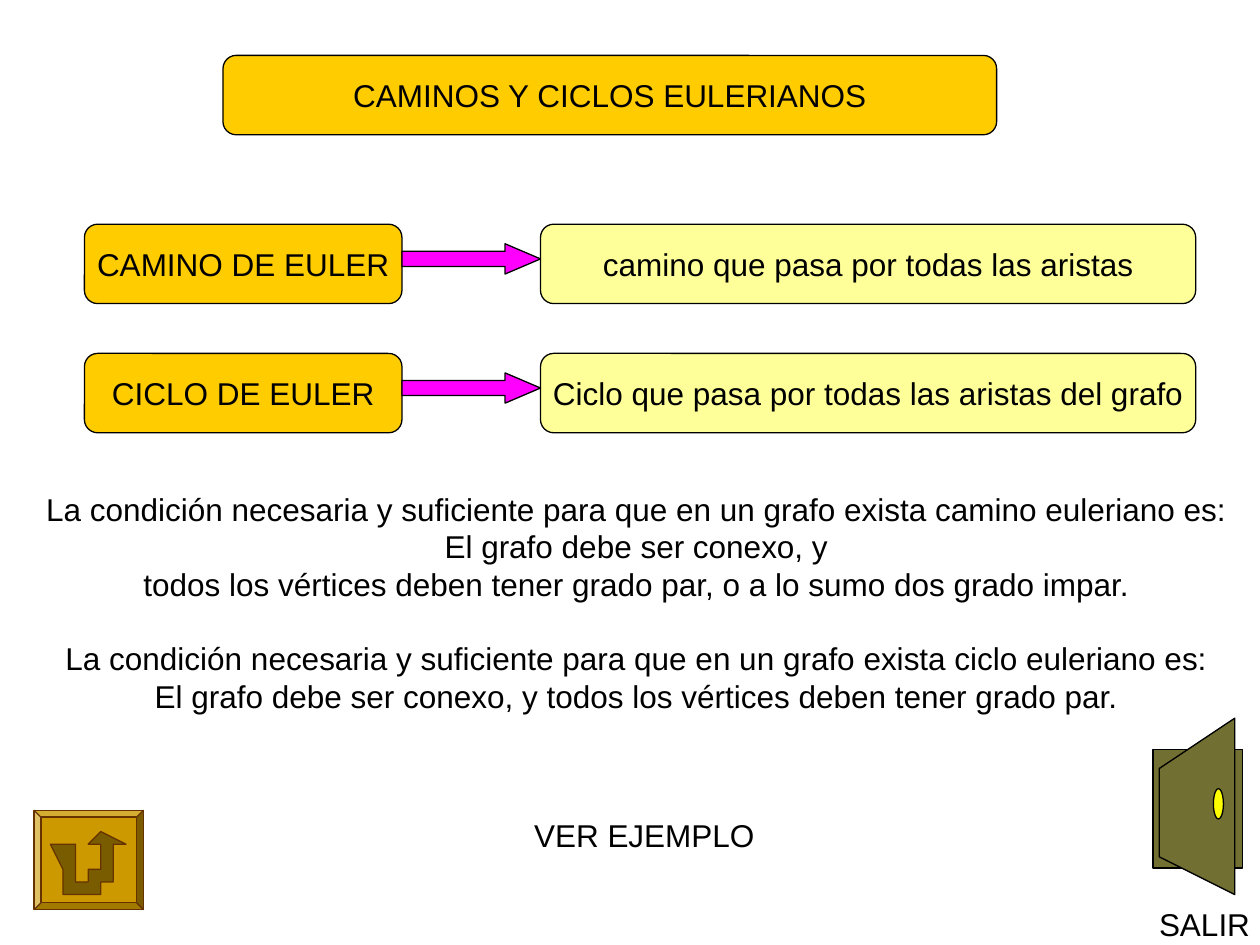
"""Build a slide that defines Eulerian paths and cycles and gives their conditions."""
from math import cos, radians, sin

from pptx import Presentation
from pptx import util as u
from pptx.dml.color import RGBColor
from pptx.enum import shapes, text

THEME = {
    "font": "Arial", "size": u.Pt(18), "line_width": u.Pt(0.75),
    "ink": "000000", "term": "FFCC00", "meaning": "FFFF99", "arrow": "FF00FF",
    "door": "726F32", "knob": "FFFF00",
    "button": "CC9900", "button_icon": "7A5C00", "button_line": "663300",
}
KIND = shapes.MSO_SHAPE

presentation = Presentation()
presentation.slide_width, presentation.slide_height = u.Inches(10), u.Inches(7.5)
column = presentation.slide_width / 100
row = presentation.slide_height / 75
slide = presentation.slides.add_slide(presentation.slide_layouts[5])


def paint(shape, fill, line="ink"):
    """Give a shape its fill and outline, without a shadow."""
    shape.shadow.inherit = False
    shape.fill.solid()
    shape.fill.fore_color.rgb = RGBColor.from_string(THEME[fill])
    shape.line.color.rgb = RGBColor.from_string(THEME[line])
    shape.line.width = THEME["line_width"]
    return shape


def write(shape, groups, alignment=text.PP_ALIGN.CENTER):
    """Write groups of lines, with one line of space between groups."""
    frame = shape.text_frame
    frame.word_wrap = False
    frame.auto_size = text.MSO_AUTO_SIZE.NONE
    frame.vertical_anchor = text.MSO_ANCHOR.MIDDLE
    lines = [(g, i, line) for g, group in enumerate(groups) for i, line in enumerate(group)]
    for number, (group, position, line) in enumerate(lines):
        paragraph = frame.add_paragraph() if number else frame.paragraphs[0]
        paragraph.alignment = alignment
        paragraph.space_before = u.Pt(20.7) if group and not position else u.Pt(0)
        run = paragraph.add_run()
        run.text = line
        run.font.name, run.font.size = THEME["font"], THEME["size"]
        run.font.color.rgb = RGBColor.from_string(THEME["ink"])


title_box = [int(n) for n in (17.7 * column, 4.4 * row, 61.4 * column, 6.3 * row)]
panel = paint(slide.shapes.add_shape(KIND.ROUNDED_RECTANGLE, *title_box), "term")
title = slide.shapes.title
title.left, title.top, title.width, title.height = title_box
write(title, [["CAMINOS Y CICLOS EULERIANOS"]])
panel.element.addnext(title.element)

definitions = [
    ("CAMINO DE EULER", "camino que pasa por todas las aristas"),
    ("CICLO DE EULER", "Ciclo que pasa por todas las aristas del grafo"),
]
for index, (term, meaning) in enumerate(definitions):
    top = 17.8 + 10.25 * index
    for left, width, fill, label in ((6.7, 25.2, "term", term), (42.9, 52, "meaning", meaning)):
        box = slide.shapes.add_shape(
            KIND.ROUNDED_RECTANGLE, int(left * column), int(top * row), int(width * column), int(6.3 * row))
        write(paint(box, fill), [[label]])
    arrow = slide.shapes.add_shape(
        KIND.RIGHT_ARROW, int(31.9 * column), int((top + 1.55) * row), int(11 * column), int(2.4 * row))
    arrow.adjustments[1] = 1.17
    paint(arrow, "arrow")

conditions = [
    ["La condición necesaria y suficiente para que en un grafo exista camino euleriano es:",
     "El grafo debe ser conexo, y",
     "todos los vértices deben tener grado par, o a lo sumo dos grado impar."],
    ["La condición necesaria y suficiente para que en un grafo exista ciclo euleriano es:",
     "El grafo debe ser conexo, y todos los vértices deben tener grado par."],
]
captions = [
    (2.7, 38.3, 95.6, 19, conditions, text.PP_ALIGN.CENTER),
    (41.4, 64.3, 19.5, 4, [["VER EJEMPLO"]], text.PP_ALIGN.LEFT),
    (91, 71.3, 9.2, 4, [["SALIR"]], text.PP_ALIGN.LEFT),
]
for left, top, width, height, groups, alignment in captions:
    caption = slide.shapes.add_textbox(
        int(left * column), int(top * row), int(width * column), int(height * row))
    write(caption, groups, alignment)

door_frame = slide.shapes.add_shape(
    KIND.RECTANGLE, int(91.5 * column), int(59.5 * row), int(7.1 * column), int(9.4 * row))
paint(door_frame, "door")
button = slide.shapes.add_shape(
    KIND.BEVEL, int(2.7 * column), int(64.3 * row), int(8.7 * column), int(7.9 * row))
button.adjustments[0] = 0.07
paint(button, "button", "button_line")

bends = []
for radius, turns in ((0.6, ((6.5, 180, 90), (7.1, 90, 0))), (1.9, ((7.1, 0, 90), (6.5, 90, 180)))):
    bends.append([
        (center + radius * cos(radians(start + (end - start) * step / 8)),
         69 + radius * sin(radians(start + (end - start) * step / 8)))
        for center, start, end in turns for step in range(9)])
return_icon = [
    (4.5, 67), (5.8, 67), *bends[0], (7.7, 67), (7.1, 67), (8.4, 65.7), (9.7, 67), (9, 67), *bends[1]]
door_leaf = [(97.9, 57.1), (97.9, 71.3), (92.3, 67.7), (92.3, 60.6)]
for points, fill, line in ((return_icon, "button_icon", "button_line"), (door_leaf, "door", "ink")):
    builder = slide.shapes.build_freeform(*points[0], scale=(column, row))
    builder.add_line_segments(points[1:], close=True)
    paint(builder.convert_to_shape(), fill, line)

knob = slide.shapes.add_shape(
    KIND.OVAL, int(96.3 * column), int(62.6 * row), int(0.8 * column), int(2.4 * row))
paint(knob, "knob")

presentation.save("out.pptx")
